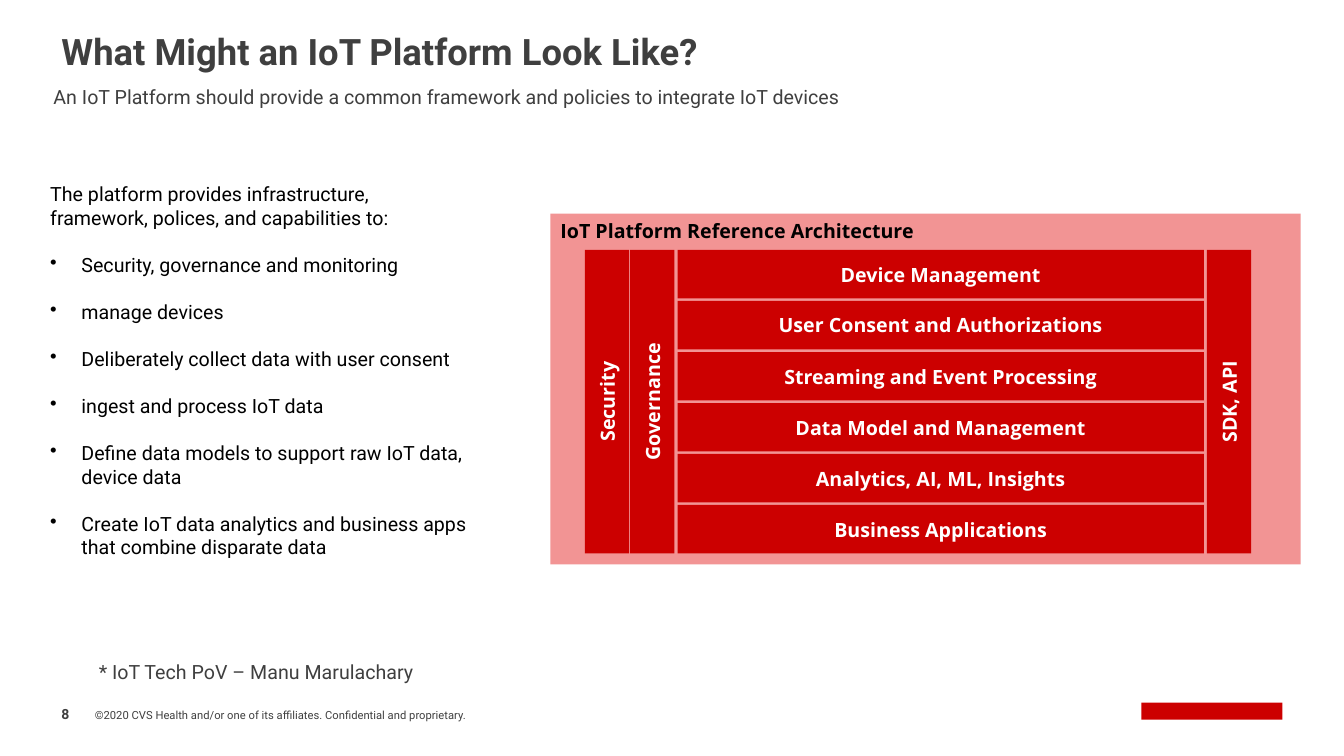
from dataclasses import dataclass

import pptx
import pptx.dml.color
import pptx.enum.shapes
import pptx.enum.text
import pptx.oxml.ns
import pptx.util
from lxml import etree

Inches = pptx.util.Inches
Pt = pptx.util.Pt
Anchor = pptx.enum.text.MSO_ANCHOR
Align = pptx.enum.text.PP_ALIGN

COLORS = {
    "text": "3F3F3F",
    "black": "000000",
    "white": "FFFFFF",
    "red": "CC0000",
    "pink": "F29494",
}
BODY_FONT = "Roboto"
DIAGRAM_FONT = "Open Sans"
BODY_LINE = Pt(16.8)
BULLET_INDENT = Inches(0.31)

BLOCK_TOP = 2.48
PILLAR_WIDTH, PILLAR_HEIGHT = 0.44, 3.01
LAYER_LEFT, LAYER_WIDTH, LAYER_HEIGHT = 6.72, 5.22, 0.48


@dataclass
class Label:
    """A line of text in a margin-free box."""
    text: str
    left: float
    top: float
    width: float
    height: float
    size: int = 14
    bold: bool = False
    anchor: Anchor = Anchor.TOP
    line_spacing: float = 1.0


@dataclass
class Block:
    """A filled rectangle of the architecture diagram."""
    text: str
    left: float
    top: float
    width: float
    height: float
    fill: str = "red"
    color: str = "white"
    align: Align = Align.CENTER
    anchor: Anchor = Anchor.MIDDLE
    upward: bool = False


LABELS = [
    Label("What Might an IoT Platform Look Like?", 0.61, 0.34, 10.57, 0.4,
          size=26, bold=True, line_spacing=0.9),
    Label("An IoT Platform should provide a common framework and policies "
          "to integrate IoT devices", 0.53, 0.84, 12.08, 0.27),
    Label("* IoT Tech PoV – Manu Marulachary", 0.98, 6.55, 3.27, 0.24),
    Label("8", 0.61, 6.96, 0.39, 0.25, size=10, bold=True, anchor=Anchor.MIDDLE),
    Label("©2020 CVS Health and/or one of its affiliates. Confidential and proprietary.",
          0.94, 7.03, 8.8, 0.13, size=8, anchor=Anchor.BOTTOM),
]

INTRO = "The platform provides infrastructure, framework, polices, and capabilities to:"
CAPABILITIES = [
    "Security, governance and monitoring",
    "manage devices",
    "Deliberately collect data with user consent",
    "ingest and process IoT data",
    "Define data models to support raw IoT data, device data",
    "Create IoT data analytics and business apps that combine disparate data",
]

PILLARS = {"Security": 5.8, "Governance": 6.25, "SDK, API": 11.97}
LAYERS = [
    "Device Management",
    "User Consent and Authorizations",
    "Streaming and Event Processing",
    "Data Model and Management",
    "Analytics, AI, ML, Insights",
    "Business Applications",
]
LAYER_STEP = (PILLAR_HEIGHT - LAYER_HEIGHT) / (len(LAYERS) - 1)


def rgb(name: str) -> pptx.dml.color.RGBColor:
    return pptx.dml.color.RGBColor.from_string(COLORS[name])


def style(paragraph, font_name: str, size: int, color: str, bold: bool = False) -> None:
    for run in paragraph.runs:
        run.font.name = font_name
        run.font.size = Pt(size)
        run.font.bold = bold
        run.font.color.rgb = rgb(color)


def add_label(slide, label: Label) -> None:
    box = slide.shapes.add_textbox(Inches(label.left), Inches(label.top),
                                   Inches(label.width), Inches(label.height))
    frame = box.text_frame
    frame.word_wrap = True
    frame.margin_left = frame.margin_right = frame.margin_top = frame.margin_bottom = 0
    frame.vertical_anchor = label.anchor
    frame.text = label.text
    line = frame.paragraphs[0]
    line.line_spacing = label.line_spacing
    style(line, BODY_FONT, label.size, "text", label.bold)


def add_bullet(paragraph) -> None:
    properties = paragraph._p.get_or_add_pPr()
    properties.set("marL", str(BULLET_INDENT))
    properties.set("indent", str(-BULLET_INDENT))
    bullet = etree.SubElement(properties, pptx.oxml.ns.qn("a:buChar"))
    bullet.set("char", "•")


def add_capabilities(slide) -> None:
    box = slide.shapes.add_textbox(Inches(0.4), Inches(1.76), Inches(4.33), Inches(3.87))
    frame = box.text_frame
    frame.word_wrap = True
    frame.text = INTRO
    style(frame.paragraphs[0], BODY_FONT, 14, "black")
    for capability in CAPABILITIES:
        item = frame.add_paragraph()
        item.text = capability
        add_bullet(item)
        item.space_before = BODY_LINE
        style(item, BODY_FONT, 14, "black")


def add_rectangle(slide, left: float, top: float, width: float, height: float, fill: str):
    rectangle = slide.shapes.add_shape(
        pptx.enum.shapes.MSO_SHAPE.RECTANGLE,
        Inches(left), Inches(top), Inches(width), Inches(height))
    rectangle.shadow.inherit = False
    rectangle.fill.solid()
    rectangle.fill.fore_color.rgb = rgb(fill)
    rectangle.line.fill.background()
    return rectangle


def add_block(slide, block: Block) -> None:
    rectangle = add_rectangle(slide, block.left, block.top,
                              block.width, block.height, block.fill)
    frame = rectangle.text_frame
    frame.word_wrap = True
    frame.vertical_anchor = block.anchor
    if block.upward:
        frame._txBody.bodyPr.set("vert", "vert270")
    frame.text = block.text
    caption = frame.paragraphs[0]
    caption.alignment = block.align
    style(caption, DIAGRAM_FONT, 14, block.color, bold=True)


def add_architecture(slide) -> None:
    add_block(slide, Block("IoT Platform Reference Architecture", 5.46, 2.12, 7.44, 3.48,
                           fill="pink", color="black", align=Align.LEFT, anchor=Anchor.TOP))
    for name, left in PILLARS.items():
        add_block(slide, Block(name, left, BLOCK_TOP, PILLAR_WIDTH, PILLAR_HEIGHT, upward=True))
    for index, name in enumerate(LAYERS):
        add_block(slide, Block(name, LAYER_LEFT, BLOCK_TOP + index * LAYER_STEP,
                               LAYER_WIDTH, LAYER_HEIGHT))


def main() -> None:
    deck = pptx.Presentation()
    deck.slide_width = Inches(13.33)
    deck.slide_height = Inches(7.5)
    slide = deck.slides.add_slide(deck.slide_layouts[6])
    for label in LABELS:
        add_label(slide, label)
    add_capabilities(slide)
    add_architecture(slide)
    add_rectangle(slide, 11.32, 6.97, 1.4, 0.17, "red")
    deck.save("out.pptx")


if __name__ == "__main__":
    main()
